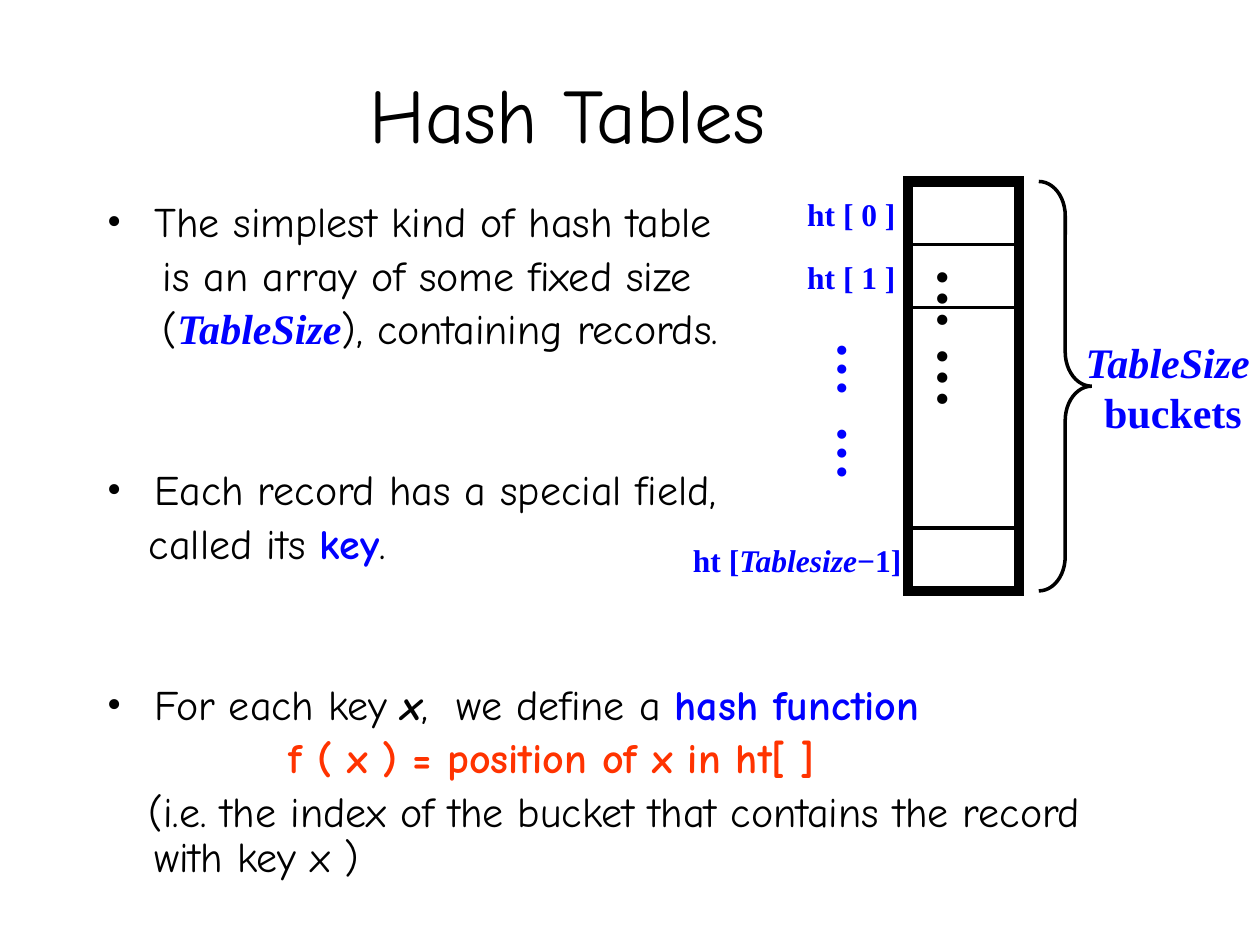
from pptx import Presentation
from pptx.util import Pt
from pptx.dml.color import RGBColor as Rgb
from pptx.enum.shapes import MSO_SHAPE as Kind
from pptx.enum.text import MSO_ANCHOR as Anchor, PP_ALIGN as Align
from pptx.oxml.ns import qn
from lxml.etree import SubElement as Sub

INK = {"black": "000000", "blue": "0000FF", "red": "FF3300"}
SANS, SERIF = "Comic Neue", "Times New Roman"


def style(font, size=None, face=None, ink=None, bold=None, slant=None):
    if size:
        font.size = Pt(size)
    if face:
        font.name = face
    if ink:
        font.color.rgb = Rgb.from_string(INK[ink])
    font.bold, font.italic = bold, slant


def draw(home, kind, x, y, w, h, line):
    shape = home.add_shape(kind, Pt(x), Pt(y), Pt(w), Pt(h))
    shape.shadow.inherit = False
    shape.fill.background()
    shape.line.color.rgb = Rgb.from_string(INK["black"])
    shape.line.width = Pt(line)
    edge = shape._element.spPr.find(qn("a:ln"))
    Sub(edge, qn("a:miter")).set("lim", "800000")
    return shape


deck = Presentation()
deck.slide_width, deck.slide_height = Pt(720), Pt(540)
slide = deck.slides.add_slide(deck.slide_layouts[6])
shapes = slide.shapes

title = shapes.add_textbox(Pt(54), Pt(12.2), Pt(540.7), Pt(82)).text_frame
title.word_wrap = True
title.vertical_anchor = Anchor.BOTTOM
para = title.paragraphs[0]
para.text = "Hash Tables"
para.alignment = Align.CENTER
style(para.font, 44, SANS, "black")

HANG, STEP, BREAK = 27, 4.7, 66
KEY = {"ink": "blue", "bold": True}
NAME = {"face": SERIF, "ink": "blue", "bold": True, "slant": True}
lines = [
    (0, 0, [("The simplest kind of hash table", {})]),
    (32, STEP, [("is an array of some fixed size", {})]),
    (32, STEP, [("(", {}), ("TableSize", NAME), ("), containing records.", {})]),
    (0, BREAK, [("Each record has a special field,", {})]),
    (24, STEP, [("called its ", {}), ("key", KEY), (".", {})]),
    (0, BREAK, [("For each key ", {}), ("x", {"bold": True, "slant": True}),
                (",", {}), (" ", {}), ("we define a ", {}), ("hash function", KEY)]),
    (104, STEP, [("f ( x ) = position of x in ht[ ]", {"ink": "red", "bold": True})]),
    (24, STEP, [("(i.e. the index of the bucket that contains the record with key x )", {})]),
]
body = shapes.add_textbox(Pt(54), Pt(111.6), Pt(601.2), Pt(396.7)).text_frame
body.word_wrap = True
for i, (start, gap, runs) in enumerate(lines):
    para = body.add_paragraph() if i else body.paragraphs[0]
    para.line_spacing, para.space_before = 0.9, Pt(gap)
    props = para._p.get_or_add_pPr()
    props.set("marL", str(Pt(HANG)))
    props.set("indent", str(Pt(start - HANG)))
    if start == 0:
        Sub(props, qn("a:buFont")).set("typeface", SERIF)
        Sub(props, qn("a:buChar")).set("char", "•")
    style(para.font, 24, SANS, "black")
    for text, look in runs:
        run = para.add_run()
        run.text = text
        style(run.font, **look)
        if text == " ":
            run._r.get_or_add_rPr().set("spc", "800")

LEFT, TOP, WIDE, TALL, CELL = 519, 103.7, 63.4, 234, 36
cells = [
    (0, 453.4, 66.2, [("ht [ 0 ]", False)]),
    (CELL, 453.4, 66.2, [("ht [ 1 ]", False)]),
    (TALL - CELL, 385.5, 140, [("ht [", False), ("Tablesize", True), ("−1]", False)]),
]
for drop, x, span, runs in cells:
    draw(shapes, Kind.RECTANGLE, LEFT, TOP + drop, WIDE, CELL, 2)
    label = shapes.add_textbox(Pt(x), Pt(TOP + drop + 6.5), Pt(span), Pt(23.8)).text_frame
    label.word_wrap = False
    label.vertical_anchor = Anchor.MIDDLE
    para = label.paragraphs[0]
    para.alignment = Align.CENTER
    style(para.font, 18, SERIF, "blue", True)
    for text, slant in runs:
        run = para.add_run()
        run.text = text
        run.font.italic = slant

frame = draw(shapes, Kind.RECTANGLE, LEFT, TOP, WIDE, TALL, 6)
rest = shapes.add_textbox(Pt(477), Pt(187.9), Pt(30.2), Pt(108))
columns = [
    (frame, 36, "black", 0, Align.LEFT, 42),
    (rest, 32, "blue", 8, Align.CENTER, 0),
]
for box, size, ink, extra, align, inset in columns:
    dots = box.text_frame
    dots.word_wrap = box is frame
    dots.vertical_anchor = Anchor.MIDDLE
    dots._txBody.bodyPr.set("vert", "eaVert")
    para = dots.paragraphs[0]
    para.alignment = align
    para._p.get_or_add_pPr().set("marL", str(Pt(inset)))
    style(para.font, size, SERIF, ink, True)
    for text in "…", " ", "…":
        run = para.add_run()
        run.text = text
        if text == " " and extra:
            run._r.get_or_add_rPr().set("spc", str(extra * 100))

group = shapes.add_group_shape().shapes
brace = draw(group, Kind.RIGHT_BRACE, 593.6, TOP, 30.2, TALL, 2)
brace.adjustments[0], brace.adjustments[1] = 0.65, 0.5
note = group.add_textbox(Pt(605.3), Pt(200.2), Pt(130), Pt(41.8)).text_frame
note.word_wrap = False
note.vertical_anchor = Anchor.MIDDLE
for i, (text, slant) in enumerate([("TableSize ", True), ("buckets", False)]):
    para = note.add_paragraph() if i else note.paragraphs[0]
    para.text = text
    para.alignment = Align.CENTER
    style(para.font, 24, SERIF, "blue", True, slant)

deck.save("out.pptx")
